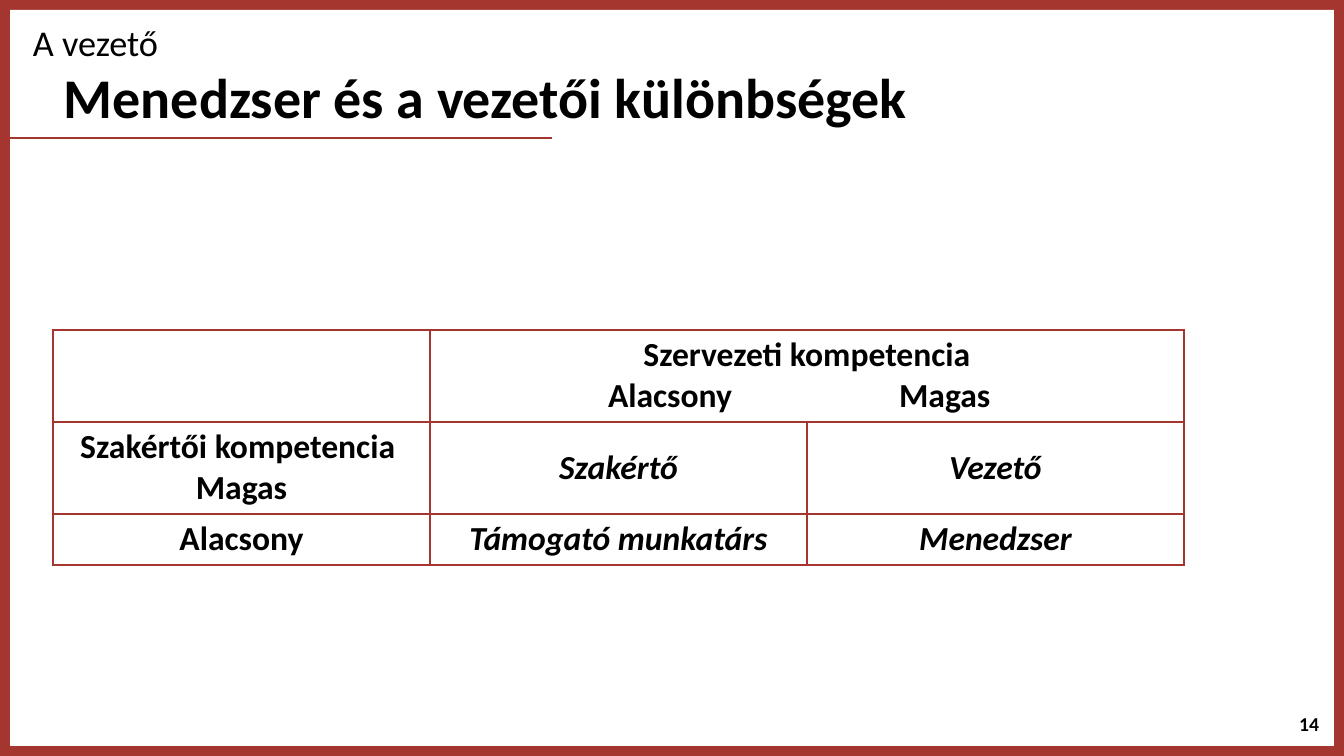
import pptx
import pptx.util
import pptx.dml.color
import pptx.enum.shapes
import pptx.enum.text
import pptx.oxml
import pptx.oxml.ns
from lxml import etree

PX = 12700 * 72 / 100.8
RED, WHITE, BLACK = "A4352F", "FFFFFF", "000000"
ALIGN = pptx.enum.text.PP_ALIGN
MIDDLE = pptx.enum.text.MSO_ANCHOR.MIDDLE
qn = pptx.oxml.ns.qn


def px(*lengths):
    return [pptx.util.Emu(round(n * PX)) for n in lengths]


def rgb(color):
    return pptx.dml.color.RGBColor.from_string(color)


prs = pptx.Presentation()
prs.slide_width, prs.slide_height = px(1344, 756)
s = prs.slides.add_slide(prs.slide_layouts[6])
s.background.fill.solid()
s.background.fill.fore_color.rgb = rgb(RED)

# White panels: the red background shows as the frame and as the rule below the title
for box in [(552, 12, 782, 607), (10, 10, 1324, 127), (10, 139, 1324, 607)]:
    panel = s.shapes.add_shape(pptx.enum.shapes.MSO_SHAPE.RECTANGLE, *px(*box))
    panel.shadow.inherit = False
    panel.fill.solid()
    panel.fill.fore_color.rgb = rgb(WHITE)
    panel.line.fill.background()

# Title, slide number and section name
texts = [
    ("Menedzser és a vezetői különbségek", (54, 60, 1269, 80), 40, True, ALIGN.LEFT, MIDDLE, 0.9),
    ("14", (1027, 704, 302, 40), 14, True, ALIGN.RIGHT, MIDDLE, 1.0),
    ("A vezető", (23, 24, 1269, 48), 25.9, False, ALIGN.LEFT, pptx.enum.text.MSO_ANCHOR.TOP, 0.8),
]
for text, box, size, bold, align, anchor, spacing in texts:
    tf = s.shapes.add_textbox(*px(*box)).text_frame
    tf.word_wrap = True
    tf.vertical_anchor = anchor
    p = tf.paragraphs[0]
    p.text = text
    p.alignment = align
    p.line_spacing = spacing
    font = p.runs[0].font
    font.name, font.size, font.bold = "Calibri", pptx.util.Pt(size), bold
    font.color.rgb = rgb(BLACK)

# Competence matrix
rows = [
    ["", "Szervezeti kompetencia\n\tAlacsony\tMagas", ""],
    ["Szakértői kompetencia \nMagas", "Szakértő", "Vezető"],
    ["Alacsony", "Támogató munkatárs", "Menedzser"],
]
table = s.shapes.add_table(3, 3, *px(53, 330, 1131, 235)).table
table.first_row = table.horz_banding = False
for column in table.columns:
    column.width = px(377)[0]
for row, height in zip(table.rows, px(92, 92, 51)):
    row.height = height
table.cell(0, 1).merge(table.cell(0, 2))

for i, row in enumerate(rows):
    for j, text in enumerate(row):
        cell = table.cell(i, j)
        cell.vertical_anchor = MIDDLE
        tcPr = cell._tc.get_or_add_tcPr()
        for side in ("a:lnL", "a:lnR", "a:lnT", "a:lnB"):
            ln = etree.SubElement(tcPr, qn(side), w=str(pptx.util.Pt(2.25)))
            fill = etree.SubElement(ln, qn("a:solidFill"))
            etree.SubElement(fill, qn("a:srgbClr"), val=RED)
        cell.fill.solid()
        cell.fill.fore_color.rgb = rgb(WHITE)
        cell.text_frame.text = text
        for p in cell.text_frame.paragraphs:
            p.alignment = ALIGN.CENTER
            if "\t" in p.text:
                p.alignment = ALIGN.LEFT
                tabs = etree.SubElement(p._p.get_or_add_pPr(), qn("a:tabLst"))
                for stop in px(168, 459):
                    etree.SubElement(tabs, qn("a:tab"), pos=str(stop), algn="l")
            for r in p.runs:
                r.font.name, r.font.size = "Calibri", pptx.util.Pt(24)
                r.font.bold = True
                r.font.italic = i > 0 and j > 0
                r.font.color.rgb = rgb(BLACK)

prs.save("out.pptx")
